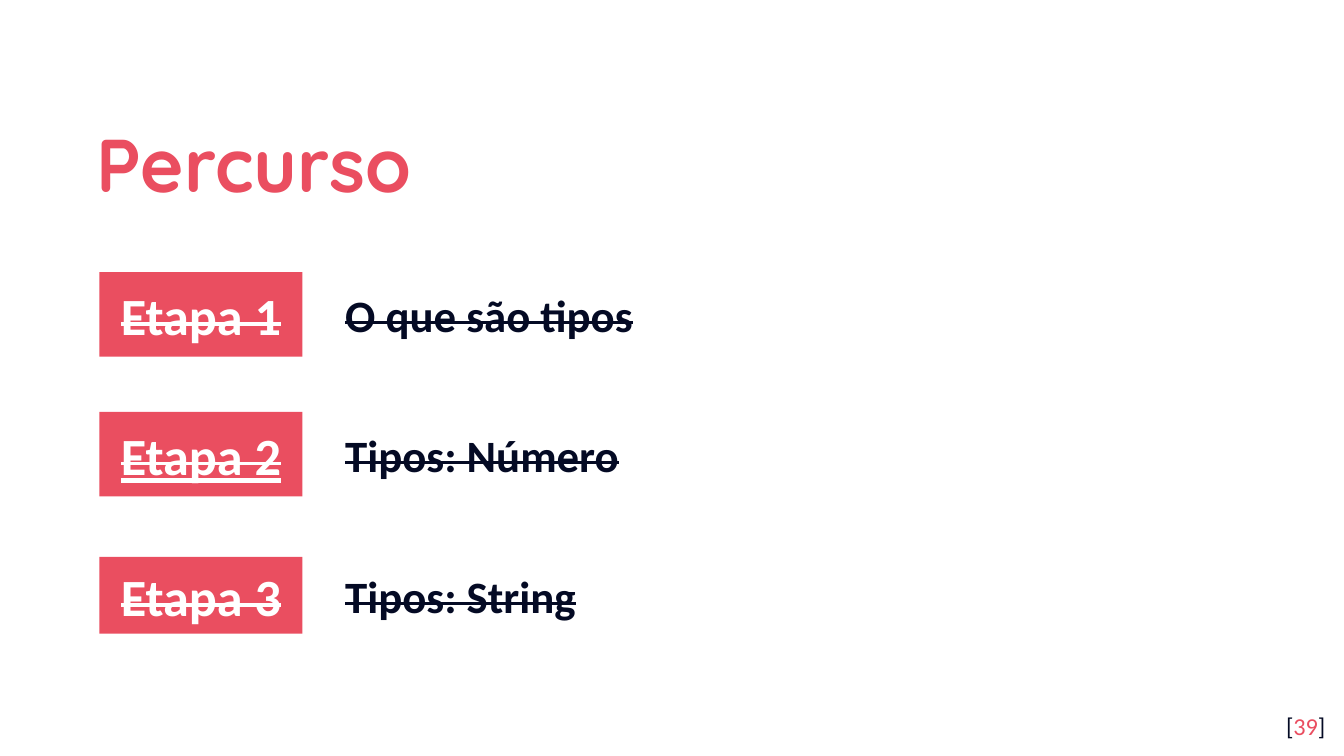
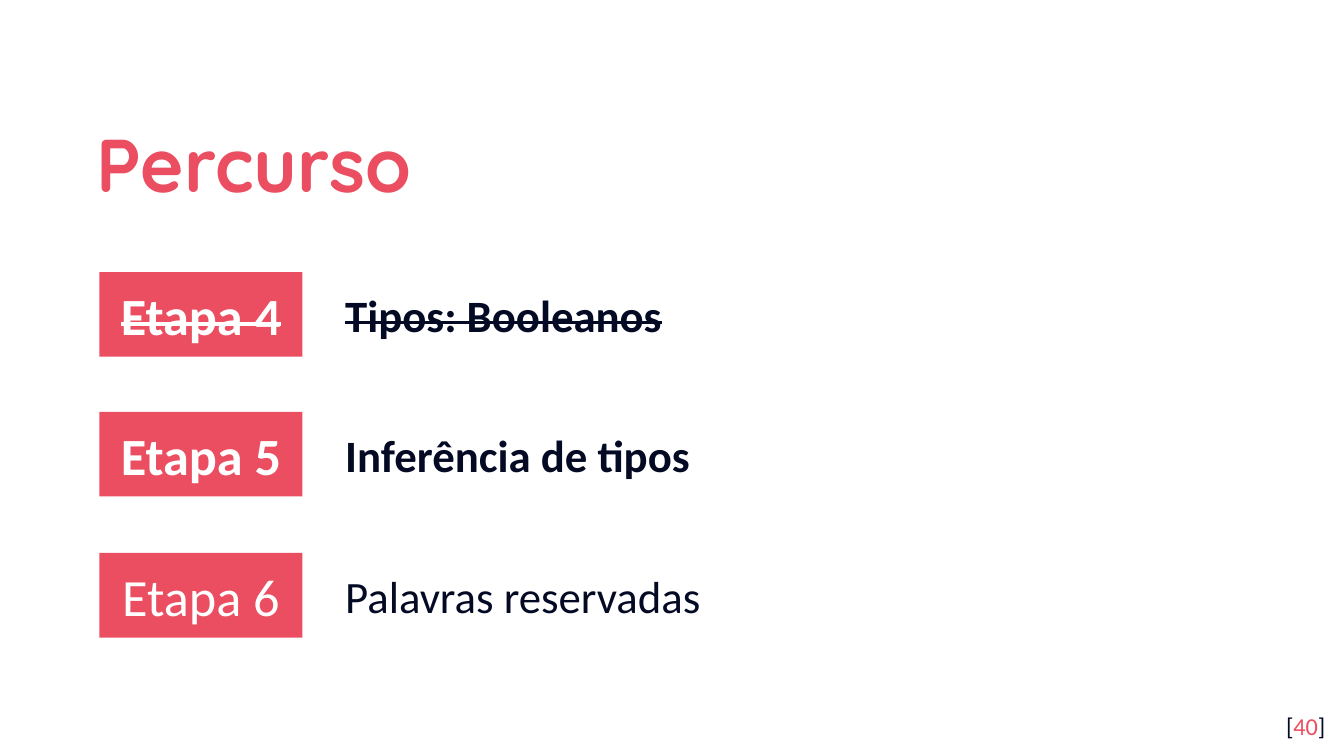
"""Build the two "Percurso" slides that list the steps of the lesson."""
from pptx import Presentation
from pptx.dml.color import RGBColor
from pptx.enum import shapes, text
from pptx.util import Inches, Pt

HUES = {"red": "EA4E60", "navy": "040A24", "white": "FFFFFF"}
TITLE = "Percurso"
DONE = {"bold": True, "strike": True}
NOW = {"bold": True}
NEXT = {}

PAGES = [
    (39, [
        ("Etapa 1", "O que são tipos", DONE, {}, 0.63),
        ("Etapa 2", "Tipos: Número", DONE, {"underline": True}, 0.63),
        ("Etapa 3", "Tipos: String", DONE, {}, 0.57),
    ]),
    (40, [
        ("Etapa 4", "Tipos: Booleanos", DONE, {}, 0.63),
        ("Etapa 5", "Inferência de tipos", NOW, {}, 0.63),
        ("Etapa 6", "Palavras reservadas", NEXT, {}, 0.63),
    ]),
]
MIDS = (2.34, 3.38, 4.43)
TAG = {"size": 28, "hue": "white"}
TOPIC = {"size": 24, "hue": "navy"}
MARK = {"size": 13, "hue": "navy"}
HEAD = {"size": 40, "hue": "red", "name": "Quicksand", "bold": True}


def color(hue):
    return RGBColor.from_string(HUES[hue])


def box(*rect):
    return [Inches(n) for n in rect]


def add_run(para, words, size, hue, name="Calibri", strike=False, **looks):
    run = para.add_run()
    run.text = words
    run.font.color.rgb = color(hue)
    for key, val in {"size": Pt(size), "name": name, **looks}.items():
        setattr(run.font, key, val)
    if strike:
        run.font._element.set("strike", "sngStrike")


def set_frame(shape, align, pad=0.1, anchor="TOP"):
    frame = shape.text_frame
    looks = {
        "word_wrap": True,
        "auto_size": text.MSO_AUTO_SIZE.NONE,
        "vertical_anchor": text.MSO_ANCHOR[anchor],
        "margin_left": Inches(0.1),
        "margin_right": Inches(0.1),
        "margin_top": Inches(pad),
        "margin_bottom": Inches(pad),
    }
    for key, val in looks.items():
        setattr(frame, key, val)
    para = frame.paragraphs[0]
    para.alignment = text.PP_ALIGN[align]
    return para


def indent(para, left, first):
    props = para._p.get_or_add_pPr()
    props.set("marL", str(Inches(left)))
    props.set("indent", str(Inches(first)))


def add_title(slide):
    title = slide.shapes.title
    title.left, title.top, title.width, title.height = box(0.62, 0.7, 8.1, 0.92)
    para = set_frame(title, "LEFT", anchor="MIDDLE")
    para.line_spacing = 1.15
    add_run(para, TITLE, **HEAD)


def add_step(slide, mid, step, topic, state, extra, high):
    tag = slide.shapes.add_shape(
        shapes.MSO_SHAPE.RECTANGLE, *box(0.74, mid - high / 2, 1.51, high))
    tag.shadow.inherit = False
    tag.fill.solid()
    tag.fill.fore_color.rgb = color("red")
    tag.line.fill.background()
    para = set_frame(tag, "CENTER", anchor="MIDDLE")
    para.level = 1
    indent(para, 0, 0)
    add_run(para, step, **TAG, **state, **extra)

    note = slide.shapes.add_textbox(*box(2.47, mid - 0.25, 6.75, 0.5))
    para = set_frame(note, "LEFT", pad=0.05)
    indent(para, 0.5, -0.5)
    add_run(para, topic, **TOPIC, **state)


def add_number(slide, num):
    para = set_frame(slide.shapes.add_textbox(*box(9.36, 5.19, 0.6, 0.43)), "RIGHT")
    for words, hue in (("[", "navy"), (str(num), "red"), ("]", "navy")):
        add_run(para, words, **{**MARK, "hue": hue})


def main():
    deck = Presentation()
    deck.slide_width = Inches(10)
    deck.slide_height = deck.slide_width * 9 // 16
    for num, steps in PAGES:
        slide = deck.slides.add_slide(deck.slide_layouts[5])
        add_title(slide)
        for mid, step in zip(MIDS, steps):
            add_step(slide, mid, *step)
        add_number(slide, num)
    deck.save("out.pptx")


if __name__ == "__main__":
    main()
